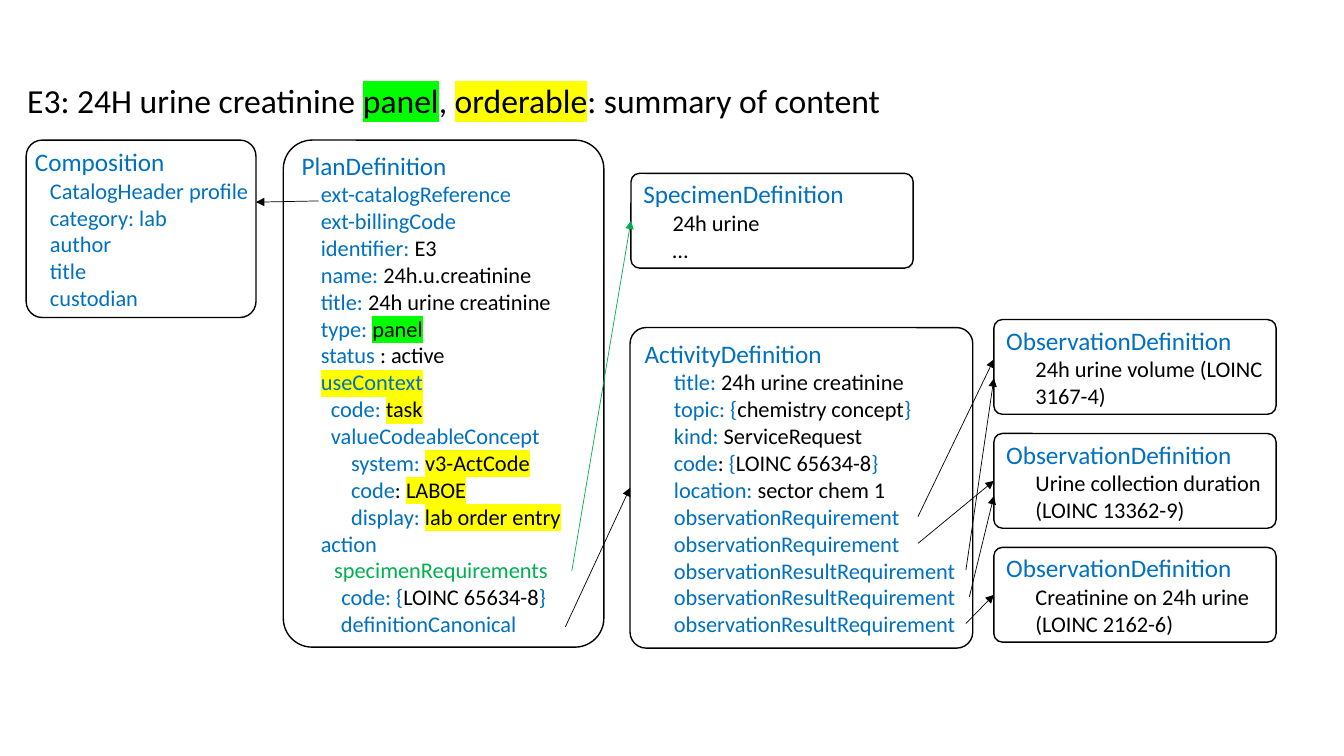
from collections import namedtuple

from lxml import etree
from pptx import Presentation
from pptx.dml.color import RGBColor
from pptx.enum.shapes import MSO_CONNECTOR, MSO_SHAPE
from pptx.enum.text import MSO_ANCHOR, MSO_AUTO_SIZE, PP_ALIGN
from pptx.oxml.ns import qn
from pptx.util import Inches, Pt

ROUNDED = MSO_SHAPE.ROUNDED_RECTANGLE
STRAIGHT = MSO_CONNECTOR.STRAIGHT
LEFT, CENTER = PP_ALIGN.LEFT, PP_ALIGN.CENTER
MIDDLE = MSO_ANCHOR.MIDDLE
GROW = MSO_AUTO_SIZE.SHAPE_TO_FIT_TEXT

BLACK = RGBColor(0x00, 0x00, 0x00)
BLUE = RGBColor(0x00, 0x70, 0xC0)
GREEN = RGBColor(0x00, 0xB0, 0x50)
LIME = RGBColor(0x00, 0xFF, 0x00)
YELLOW = RGBColor(0xFF, 0xFF, 0x00)

FONT = "Calibri"
WIDTH, HEIGHT = Inches(13.33), Inches(7.5)
COL, ROW = WIDTH / 100, HEIGHT / 100

Box = namedtuple("Box", "left top width height")
Run = namedtuple("Run", "text color mark", defaults=(BLACK, None))
Line = namedtuple("Line", "runs indent align", defaults=(0, LEFT))


def emu(box):
    """Turn a box in columns and rows into slide lengths."""
    return (int(box.left * COL), int(box.top * ROW),
            int(box.width * COL), int(box.height * ROW))


def point(box, across, down):
    """Find the point at the given shares of a box."""
    return (int((box.left + across * box.width) * COL),
            int((box.top + down * box.height) * ROW))


def key(text, indent=0, color=BLUE, mark=None, align=LEFT):
    """Make a line that holds one name."""
    return Line([Run(text, color, mark)], indent, align)


def field(label, value, indent, mark=None):
    """Make a line of a blue label and a black value."""
    return Line([Run(label, BLUE), Run(value, BLACK, mark)], indent)


def coded(label, value, indent=0, align=LEFT, colon=BLUE):
    """Make a line whose value stands in blue braces."""
    return Line([Run(label, BLUE), Run(": ", colon), Run("{", BLUE),
                 Run(value), Run("}", BLUE)], indent, align)


def write_line(paragraph, line, size):
    """Fill a paragraph with the runs of a line."""
    paragraph.font.name = FONT
    paragraph.font.size = Pt(size)
    paragraph.alignment = line.align
    properties = paragraph._p.get_or_add_pPr()
    properties.set("marL", str(Inches(line.indent)))
    properties.set("indent", "0")
    for part in line.runs:
        run = paragraph.add_run()
        run.text = part.text
        run.font.color.rgb = part.color
        if part.mark is not None:
            highlight = etree.SubElement(run._r.get_or_add_rPr(), qn("a:highlight"))
            etree.SubElement(highlight, qn("a:srgbClr")).set("val", str(part.mark))


def add_title(slide, box, runs):
    """Place the slide heading."""
    frame = slide.shapes.add_textbox(*emu(box)).text_frame
    frame.word_wrap = True
    frame.auto_size = GROW
    write_line(frame.paragraphs[0], Line(runs), 24)


def add_resource(slide, box, name, lines, rounding=0.09, insets=(0.1, 0.1)):
    """Place a rounded card with the resource name above its lines."""
    card = slide.shapes.add_shape(ROUNDED, *emu(box))
    card.shadow.inherit = False
    card.adjustments[0] = rounding
    card.fill.background()
    card.line.color.rgb = BLACK
    card.line.width = Pt(1)
    frame = card.text_frame
    frame.word_wrap = True
    frame.vertical_anchor = MIDDLE
    frame.margin_left, frame.margin_right = map(Inches, insets)
    write_line(frame.paragraphs[0], key(name), 18)
    for line in lines:
        write_line(frame.add_paragraph(), line, 16)


def add_arrow(slide, start, end, color=BLACK):
    """Draw a thin arrow between two points."""
    arrow = slide.shapes.add_connector(STRAIGHT, *start, *end)
    arrow.line.color.rgb = color
    arrow.line.width = Pt(0.5)
    etree.SubElement(arrow.line._get_or_add_ln(), qn("a:tailEnd")).set("type", "triangle")
    etree.SubElement(arrow._element.spPr, qn("a:effectLst"))


def add_observations(slide, box, pitch, observations):
    """Stack the observation cards and return their boxes."""
    boxes = [box._replace(top=box.top + i * pitch) for i in range(len(observations))]
    for card, text in zip(boxes, observations):
        add_resource(slide, card, "ObservationDefinition", [key(text, 0.29, BLACK)])
    return boxes


TITLE = [Run("E3: 24H urine creatinine "), Run("panel", mark=LIME), Run(", "),
         Run("orderable", mark=YELLOW), Run(": summary of content")]

COMPOSITION = [key(text, 0.15) for text in (
    "CatalogHeader profile", "category: lab", "author", "title", "custodian")]

PLAN = [
    key("ext-catalogReference", 0.19),
    key("ext-billingCode", 0.19),
    field("identifier: ", "E3", 0.19),
    field("name: ", "24h.u.creatinine", 0.19),
    field("title: ", "24h urine creatinine", 0.19),
    field("type: ", "panel", 0.19, LIME),
    field("status", " : active", 0.19),
    key("useContext", 0.19, mark=YELLOW),
    field("code: ", "task", 0.29, YELLOW),
    key("valueCodeableConcept", 0.29),
    field("system: ", "v3-ActCode", 0.49, YELLOW),
    Line([Run("code", BLUE), Run(": "), Run("LABOE", mark=YELLOW)], 0.49),
    field("display: ", "lab order entry", 0.49, YELLOW),
    key("action", 0.19),
    key("specimenRequirements ", color=GREEN, align=CENTER),
    coded("code", "LOINC 65634-8", align=CENTER),
    key("definitionCanonical", 0.39),
]

SPECIMEN = [key(text, 0.29, BLACK) for text in ("24h urine", "…")]

ACTIVITY = [
    field("title: ", "24h urine creatinine", 0.29),
    coded("topic", "chemistry concept", 0.29),
    field("kind: ", "ServiceRequest", 0.29),
    coded("code", "LOINC 65634-8", 0.29, colon=BLACK),
    field("location: ", "sector chem 1", 0.29),
    *[key("observationRequirement", 0.29)] * 2,
    *[key("observationResultRequirement", 0.29)] * 3,
]

OBSERVATIONS = ["24h urine volume (LOINC 3167-4)",
                "Urine collection duration (LOINC 13362-9)",
                "Creatinine on 24h urine (LOINC 2162-6)"]


def build_summary(slide):
    """Lay out the resources and the references between them."""
    composition = Box(1.95, 18.53, 17.1, 23.47)
    plan = Box(21.08, 18.53, 23.85, 67.07)
    specimen = Box(46.95, 22.93, 21, 12.53)
    activity = Box(46.88, 43.33, 25.5, 42.4)

    add_title(slide, Box(1.28, 9.87, 89.18, 6.67), TITLE)
    add_resource(slide, composition, "Composition", COMPOSITION, insets=(0.04, 0))
    add_resource(slide, plan, "PlanDefinition", PLAN)
    add_resource(slide, specimen, "SpecimenDefinition", SPECIMEN)
    add_resource(slide, activity, "ActivityDefinition", ACTIVITY, rounding=0.05)
    volume, duration, creatinine = add_observations(
        slide, Box(73.95, 42.27, 21, 12.53), 15.07, OBSERVATIONS)

    add_arrow(slide, point(plan, 0.11, 0.12), point(composition, 1, 0.35))
    add_arrow(slide, point(plan, 0.9, 0.85), point(specimen, 0, 0.5), GREEN)
    add_arrow(slide, point(plan, 0.88, 0.96), point(activity, 0, 0.5))
    requirements = [(0.84, volume, 0.42), (0.84, duration, 0.5), (0.98, volume, 0.62),
                    (0.99, duration, 0.66), (0.98, creatinine, 0.5)]
    for i, (across, target, down) in enumerate(requirements):
        add_arrow(slide, point(activity, across, 0.59 + i / 12), point(target, 0, down))


deck = Presentation()
deck.slide_width, deck.slide_height = WIDTH, HEIGHT
build_summary(deck.slides.add_slide(deck.slide_layouts[6]))
deck.save("out.pptx")
